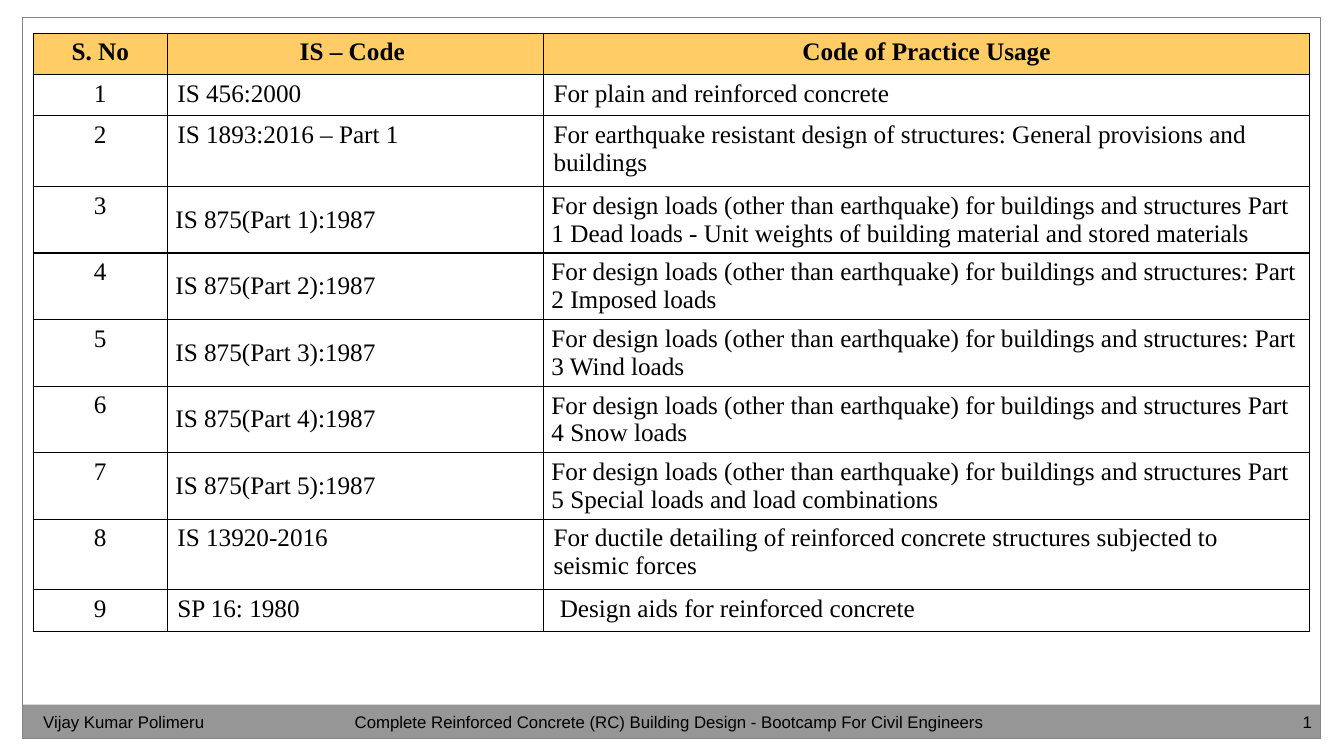
from lxml.etree import SubElement
from pptx import Presentation
from pptx.dml.color import RGBColor
from pptx.enum.shapes import MSO_SHAPE
from pptx.enum.text import MSO_ANCHOR, PP_ALIGN
from pptx.oxml.ns import qn
from pptx.util import Inches, Pt

LOADS = "For design loads (other than earthquake) for buildings and structures"
PARTS = [
    " Part 1 Dead loads - Unit weights of building material and stored materials",
    ": Part 2 Imposed loads",
    ": Part 3 Wind loads",
    " Part 4 Snow loads",
    " Part 5 Special loads and load combinations",
]
LOW, TIGHT, TALL = 0.41, 0.62, 0.65  # row heights by kind of content
ROWS = [
    (LOW, "IS 456:2000", "For plain and reinforced concrete"),
    (TALL, "IS 1893:2016 – Part 1",
     "For earthquake resistant design of structures: General provisions and buildings"),
    *[(TIGHT, f"IS 875(Part {n}):1987", LOADS + part)
      for n, part in enumerate(PARTS, 1)],
    (TALL, "IS 13920-2016",
     "For ductile detailing of reinforced concrete structures subjected to seismic forces"),
    (LOW, "SP 16: 1980", " Design aids for reinforced concrete"),
]


def color(code):
    return RGBColor.from_string(code)


def write(frame, text, size=18, font="Times New Roman", bold=False,
          align=PP_ALIGN.LEFT, ink="000000"):
    line = frame.paragraphs[0]
    line.alignment = align
    run = line.add_run()
    run.text = text
    run.font.size = Pt(size)
    run.font.name = font
    run.font.bold = bold
    run.font.color.rgb = color(ink)


class Page:
    gold, white, gray, edge, black = "FFCC66", "FFFFFF", "969696", "848484", "000000"

    def __init__(self, slide):
        self.slide = slide

    def box(self, left, top, width, height, fill=None, line=None):
        shape = self.slide.shapes.add_shape(
            MSO_SHAPE.RECTANGLE, Inches(left), Inches(top), Inches(width), Inches(height))
        shape.shadow.inherit = False
        if fill:
            shape.fill.solid()
            shape.fill.fore_color.rgb = color(fill)
        else:
            shape.fill.background()
        if line:
            shape.line.color.rgb = color(line)
            shape.line.width = Pt(0.75)
        else:
            shape.line.fill.background()

    def label(self, left, width, text, align=PP_ALIGN.LEFT):
        box = self.slide.shapes.add_textbox(
            Inches(left), Inches(7.01), Inches(width), Inches(0.4))
        box.text_frame.word_wrap = True
        write(box.text_frame, text, size=12, font="Arial", align=align)

    def border(self, cell):
        props = cell._tc.get_or_add_tcPr()
        for side in ("lnL", "lnR", "lnT", "lnB"):
            line = SubElement(props, qn(f"a:{side}"), w=str(Pt(1)))
            fill = SubElement(line, qn("a:solidFill"))
            SubElement(fill, qn("a:srgbClr"), val=self.black)

    def cell(self, cell, text, fill, tight=False, **style):
        self.border(cell)
        cell.fill.solid()
        cell.fill.fore_color.rgb = color(fill)
        if tight:
            cell.vertical_anchor = MSO_ANCHOR.MIDDLE
            cell.margin_left = cell.margin_right = Inches(0.08)
            cell.margin_top = cell.margin_bottom = Inches(0.03)
        write(cell.text_frame, text, **style)

    def table(self, left, top, widths, heads, rows):
        heights = [LOW] + [row[0] for row in rows]
        table = self.slide.shapes.add_table(
            len(heights), len(widths), Inches(left), Inches(top),
            Inches(sum(widths)), Inches(sum(heights))).table
        for col, width in zip(table.columns, widths):
            col.width = Inches(width)
        for row, height in zip(table.rows, heights):
            row.height = Inches(height)
        for c, head in enumerate(heads):
            self.cell(table.cell(0, c), head, self.gold, bold=True, align=PP_ALIGN.CENTER)
        for r, (height, *texts) in enumerate(rows, 1):
            self.cell(table.cell(r, 0), str(r), self.white, align=PP_ALIGN.CENTER)
            for c, text in enumerate(texts, 1):
                self.cell(table.cell(r, c), text, self.white, tight=height == TIGHT)


def main():
    deck = Presentation()
    deck.slide_width, deck.slide_height = Inches(13.33), Inches(7.5)
    page = Page(deck.slides.add_slide(deck.slide_layouts[6]))
    page.box(0.22, 6.99, 12.88, 0.34, fill=page.gray)
    page.box(0.22, 0.17, 12.88, 7.16, line=page.edge)
    page.label(9.67, 3.44, "1", align=PP_ALIGN.RIGHT)
    page.label(0.33, 4.78, "Vijay Kumar Polimeru")
    page.label(3.42, 6.5, "Complete Reinforced Concrete (RC) Building Design"
               " - Bootcamp For Civil Engineers")
    page.table(0.33, 0.33, [1.33, 3.73, 7.6],
               ["S. No", "IS – Code ", "Code of Practice Usage"], ROWS)
    deck.save("out.pptx")


if __name__ == "__main__":
    main()
